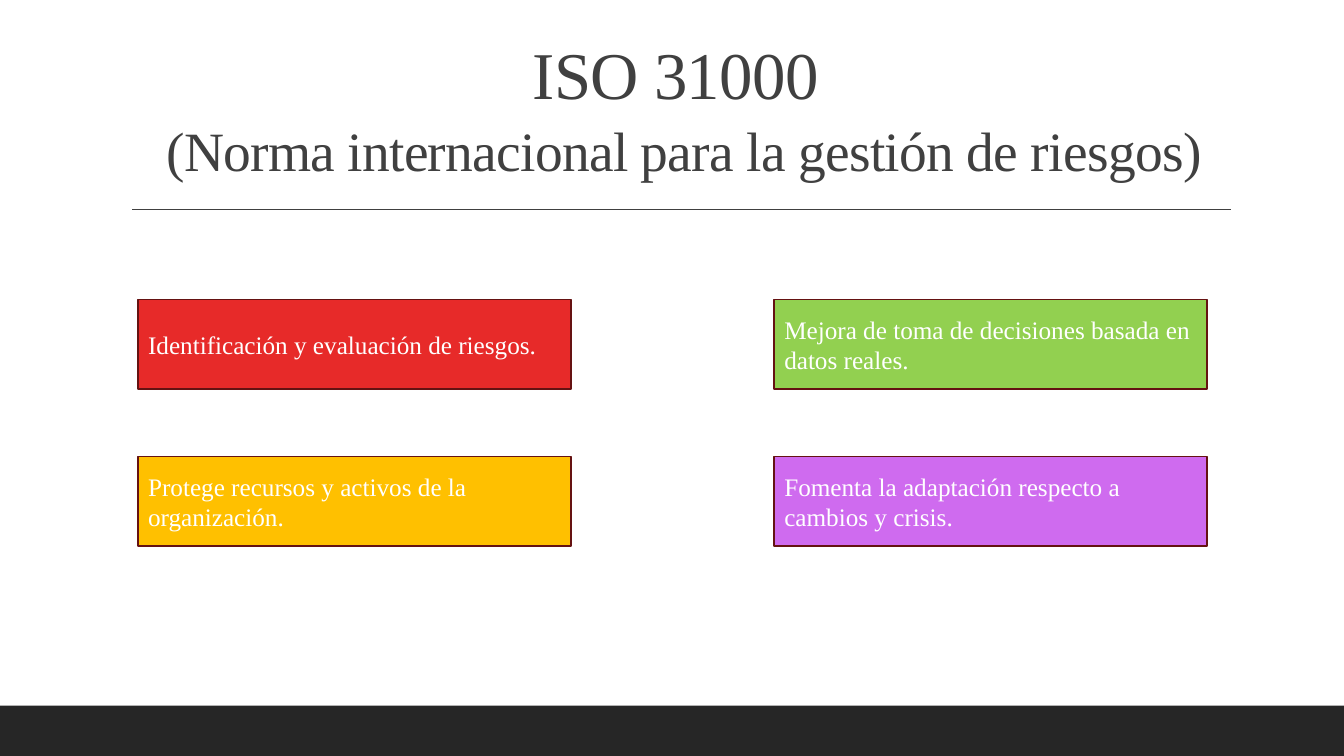
from pptx import Presentation
from pptx.dml.color import RGBColor
from pptx.enum.shapes import MSO_CONNECTOR, MSO_SHAPE
from pptx.enum.text import MSO_ANCHOR, MSO_AUTO_SIZE, PP_ALIGN
from pptx.oxml.ns import qn
from pptx.util import Inches, Pt
from lxml import etree

RECTANGLE = MSO_SHAPE.RECTANGLE
STRAIGHT = MSO_CONNECTOR.STRAIGHT
LEFT, CENTER = PP_ALIGN.LEFT, PP_ALIGN.CENTER
MIDDLE, BOTTOM = MSO_ANCHOR.MIDDLE, MSO_ANCHOR.BOTTOM
TITLE_ONLY = 5

COLORS = {
    "ink": "404040",
    "footer": "262626",
    "border": "651212",
    "white": "FFFFFF",
    "red": "E72A29",
    "green": "92D050",
    "amber": "FFC000",
    "violet": "CF6BEF",
}


def rgb(name):
    return RGBColor.from_string(COLORS[name])


def write(paragraph, text, *, size, color, font, tracking=None):
    """Add one formatted run to a paragraph."""
    run = paragraph.add_run()
    run.text = text
    run.font.name = font
    run.font.size = Pt(size)
    run.font.color.rgb = rgb(color)
    if tracking is not None:
        run.font._element.set("spc", str(round(tracking * 100)))


class SlideBuilder:
    font = "Times New Roman"

    def __init__(self, slide):
        self.slide = slide

    def title(self, heading, subtitle, left, top, width, height):
        title = self.slide.shapes.title
        title.left, title.top = Inches(left), Inches(top)
        title.width, title.height = Inches(width), Inches(height)
        frame = title.text_frame
        frame.word_wrap = True
        frame.auto_size = MSO_AUTO_SIZE.NONE
        frame.vertical_anchor = BOTTOM
        paragraph = frame.paragraphs[0]
        paragraph.alignment = CENTER
        paragraph.line_spacing = 0.9
        style = {"color": "ink", "font": self.font, "tracking": -0.5}
        write(paragraph, heading, size=47.7, **style)
        paragraph.add_line_break()
        write(paragraph, " ", size=47.7, **style)
        write(paragraph, subtitle, size=39.6, **style)

    def box(self, left, top, width, height, fill, border=None, text=None):
        box = self.slide.shapes.add_shape(
            RECTANGLE, Inches(left), Inches(top), Inches(width), Inches(height))
        box.shadow.inherit = False
        box.fill.solid()
        box.fill.fore_color.rgb = rgb(fill)
        if border:
            box.line.color.rgb = rgb(border)
            box.line.width = Pt(1.25)
        else:
            box.line.fill.background()
        if text:
            frame = box.text_frame
            frame.word_wrap = True
            frame.vertical_anchor = MIDDLE
            paragraph = frame.paragraphs[0]
            paragraph.alignment = LEFT
            write(paragraph, text, size=18, color="white", font=self.font)

    def rule(self, left, right, y, color):
        rule = self.slide.shapes.add_connector(
            STRAIGHT, Inches(left), Inches(y), Inches(right), Inches(y))
        rule.line.color.rgb = rgb(color)
        rule.line.width = Pt(1)
        etree.SubElement(rule._element.spPr, qn("a:effectLst"))


def main():
    prs = Presentation()
    prs.slide_width, prs.slide_height = Inches(13.33), Inches(7.5)
    builder = SlideBuilder(prs.slides.add_slide(prs.slide_layouts[TITLE_ONLY]))

    # Footer band and title with its rule
    builder.box(0, 7, 13.33, 0.5, "footer")
    builder.rule(1.31, 12.21, 2.08, "ink")
    builder.title("ISO 31000", "(Norma internacional para la gestión de riesgos)",
                  1.2, 0.31, 11, 1.59)

    # Benefits in a two-by-two grid
    benefits = [
        ("Identificación y evaluación de riesgos.", "red"),
        ("Mejora de toma de decisiones basada en datos reales.", "green"),
        ("Protege recursos y activos de la organización.", "amber"),
        ("Fomenta la adaptación respecto a cambios y crisis.", "violet"),
    ]
    for index, (benefit, fill) in enumerate(benefits):
        row, column = divmod(index, 2)
        builder.box(1.37 + column * 6.31, 2.97 + row * 1.56, 4.29, 0.89,
                    fill, border="border", text=benefit)

    prs.save("out.pptx")


if __name__ == "__main__":
    main()
